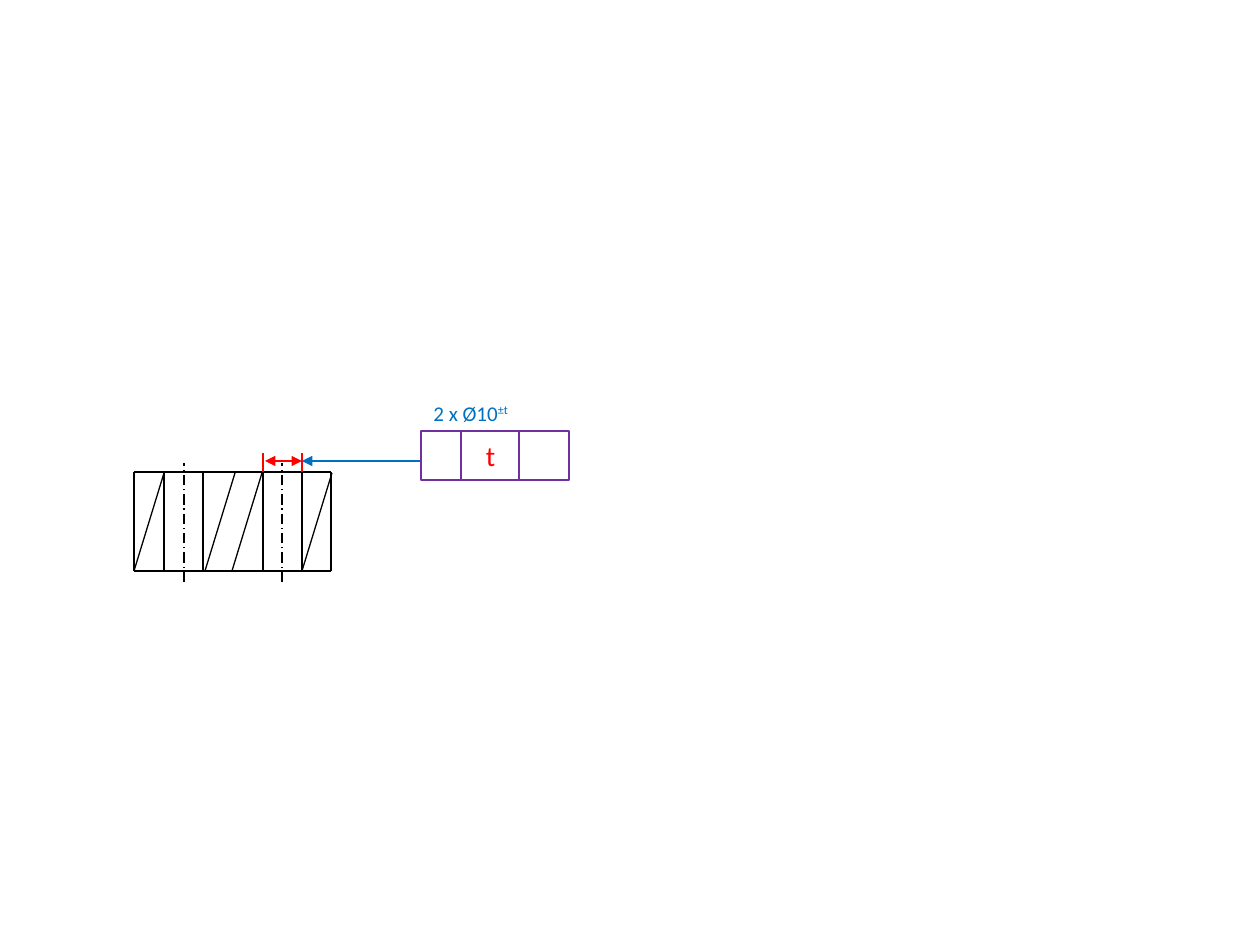
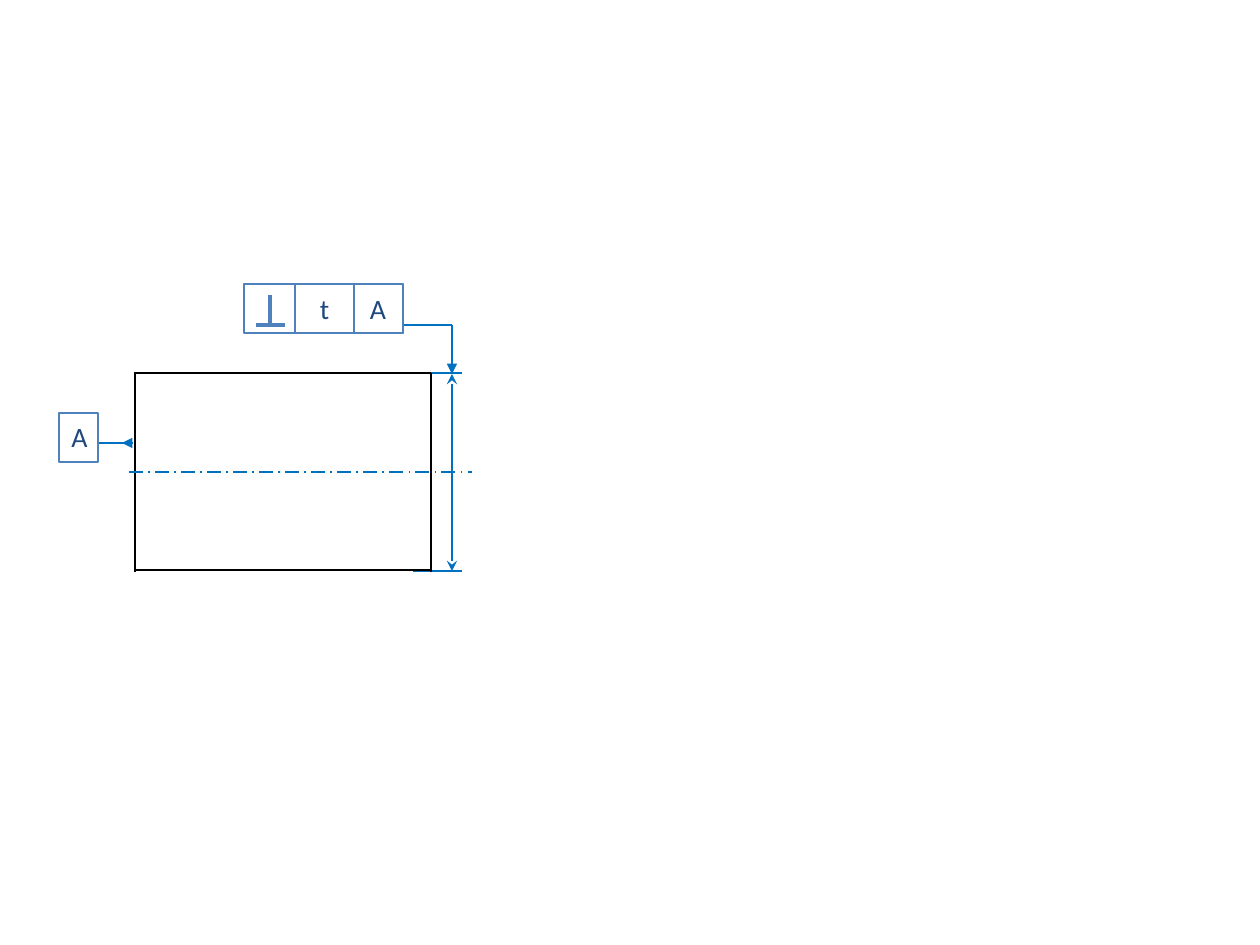
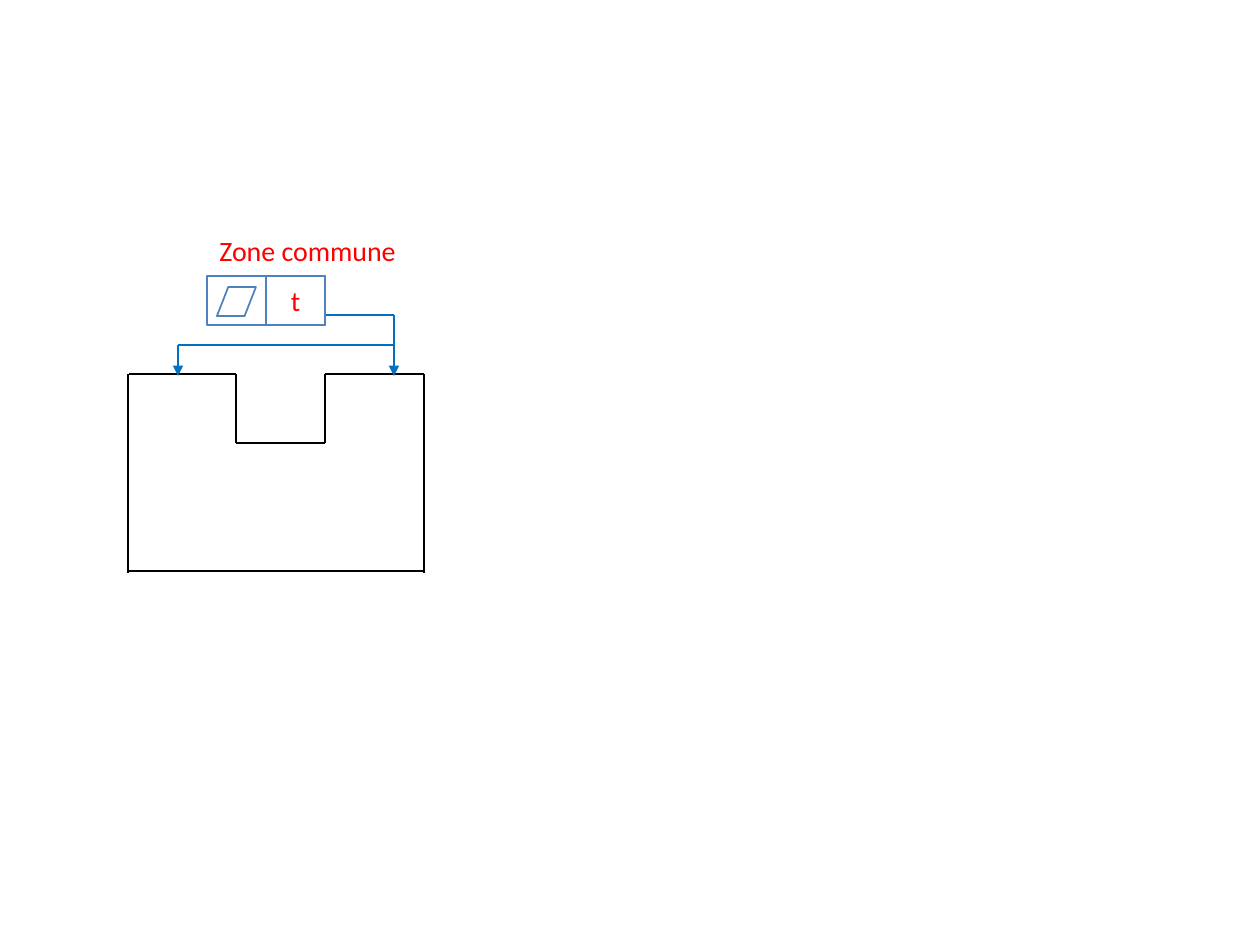
import pptx
import pptx.util
import pptx.dml.color
import pptx.enum.dml
import pptx.enum.shapes
import pptx.enum.text
import pptx.oxml.ns
import lxml.etree

PX = 914400 / 126
FONT = "Calibri"
COLORS = {"black": "000000", "red": "FF0000", "blue": "0070C0",
          "purple": "7030A0", "steel": "4F81BD", "navy": "1F497D"}
FORMS = {"rect": pptx.enum.shapes.MSO_SHAPE.RECTANGLE,
         "slant": pptx.enum.shapes.MSO_SHAPE.PARALLELOGRAM}

STYLES = {
    "edge": {"color": "black", "width": 1.5},
    "hatch": {"color": "black", "width": 0.75},
    "axis": {"color": "black", "width": 0.75, "dash": True},
    "mid": {"color": "blue", "width": 1, "dash": True},
    "limit": {"color": "red", "width": 1.5},
    "gap": {"color": "red", "width": 1.5, "head": "triangle", "tail": "triangle"},
    "thin": {"color": "blue", "width": 1},
    "arrow": {"color": "blue", "width": 1, "tail": "triangle"},
    "size": {"color": "blue", "width": 1, "head": "stealth", "tail": "stealth"},
    "sign": {"color": "steel", "width": 2.25},
}

HOLES = {
    "lines": [
        ("edge", [(134, 571, 331, 571), (134, 472, 331, 472)]
         + [(x, 571, x, 472) for x in (134, 164, 203, 263, 302, 331)]),
        ("hatch", [(x, 571, x + 30, 473) for x in (134, 205, 232, 302)]),
        ("axis", [(x, 582, x, 463) for x in (184, 282)]),
        ("limit", [(x, 472, x, 453) for x in (263, 302)]),
        ("gap", [(265, 461, 302, 461)]),
        ("arrow", [(333, 461, 302, 461)]),
        ("thin", [(421, 461, 333, 461)]),
    ],
    "shapes": [("rect", "purple", (421, 431, 98, 49)),
               ("rect", "purple", (461, 431, 108, 49))],
    "texts": [([("t", False)], "red", 16, True, (461, 432, 59, 47)),
              ([("2 x Ø10", False), ("±t", True)], "blue", 12, False,
               (421, 394, 256, 38))],
}

SQUARE = {
    "lines": [
        ("thin", [(413, y, 462, y) for y in (373, 571)]
         + [(98, 443, 132, 443), (452, 325, 403, 325)]),
        ("edge", [(x, 572, x, 373) for x in (135, 431)]
         + [(134, y, 431, y) for y in (373, 570)]),
        ("arrow", [(132, 443, 122, 443), (452, 325, 452, 374)]),
        ("sign", [(256, 325, 285, 325), (270, 295, 270, 325)]),
        ("mid", [(129, 472, 472, 472)]),
        ("size", [(452, 571, 452, 374)]),
    ],
    "shapes": [("rect", "steel", (59, 413, 39, 49)),
               ("rect", "steel", (244, 284, 110, 49)),
               ("rect", "steel", (295, 284, 108, 49)),
               ("rect", "steel", (354, 284, 49, 49))],
    "texts": [([("A", False)], "navy", 16, True, (59, 413, 39, 47)),
              ([("t", False)], "navy", 16, True, (295, 285, 59, 47)),
              ([("A", False)], "navy", 16, True, (354, 285, 48, 47))],
}

ZONE = {
    "lines": [
        ("edge", [(129, 571, 424, 571), (129, 374, 236, 374),
                  (325, 374, 424, 374), (236, 443, 325, 443)]
         + [(x, 573, x, 374) for x in (128, 424)]
         + [(x, 374, x, 443) for x in (236, 325)]),
        ("arrow", [(394, 315, 394, 376), (178, 345, 178, 376)]),
        ("thin", [(394, 315, 325, 315), (394, 345, 178, 345)]),
    ],
    "shapes": [("rect", "steel", (207, 276, 118, 49)),
               ("rect", "steel", (266, 276, 59, 49)),
               ("slant", "steel", (217, 287, 39, 29))],
    "texts": [([("t", False)], "red", 16, True, (266, 277, 59, 47)),
              ([("Zone commune", False)], "red", 16, False,
               (207, 227, 227, 47))],
}


def scale(box):
    return [round(n * PX) for n in box]


def tint(name):
    return pptx.dml.color.RGBColor.from_string(COLORS[name])


def draw_line(slide, ends, color, width, dash=False, head=None, tail=None):
    link = slide.shapes.add_connector(
        pptx.enum.shapes.MSO_CONNECTOR.STRAIGHT, *scale(ends))
    link.line.color.rgb = tint(color)
    link.line.width = pptx.util.Pt(width)
    if dash:
        link.line.dash_style = pptx.enum.dml.MSO_LINE.LONG_DASH_DOT
    qn = pptx.oxml.ns.qn
    props = link._element.spPr
    for tag, kind in (("a:headEnd", head), ("a:tailEnd", tail)):
        if kind:
            lxml.etree.SubElement(props.find(qn("a:ln")), qn(tag), type=kind)
    lxml.etree.SubElement(props, qn("a:effectLst"))


def draw_shape(slide, form, color, box):
    shape = slide.shapes.add_shape(FORMS[form], *scale(box))
    shape.shadow.inherit = False
    shape.fill.background()
    shape.line.color.rgb = tint(color)
    shape.line.width = pptx.util.Pt(1)
    if form == "slant":
        shape.adjustments[0] = 0.39


def draw_text(slide, parts, color, size, center, box):
    frame = slide.shapes.add_textbox(*scale(box)).text_frame
    frame.word_wrap = True
    frame.auto_size = pptx.enum.text.MSO_AUTO_SIZE.SHAPE_TO_FIT_TEXT
    para = frame.paragraphs[0]
    if center:
        para.alignment = pptx.enum.text.PP_ALIGN.CENTER
    for text, raised in parts:
        run = para.add_run()
        run.text = text
        run.font.name = FONT
        run.font.size = pptx.util.Pt(size)
        run.font.color.rgb = tint(color)
        if raised:
            run._r.get_or_add_rPr().set("baseline", "30000")


def main():
    deck = pptx.Presentation()
    deck.slide_width = pptx.util.Inches(10)
    deck.slide_height = pptx.util.Inches(7.5)
    for page in (HOLES, SQUARE, ZONE):
        slide = deck.slides.add_slide(deck.slide_layouts[6])
        for style, lines in page["lines"]:
            for ends in lines:
                draw_line(slide, ends, **STYLES[style])
        for item in page["shapes"]:
            draw_shape(slide, *item)
        for item in page["texts"]:
            draw_text(slide, *item)
    deck.save("out.pptx")


if __name__ == "__main__":
    main()
